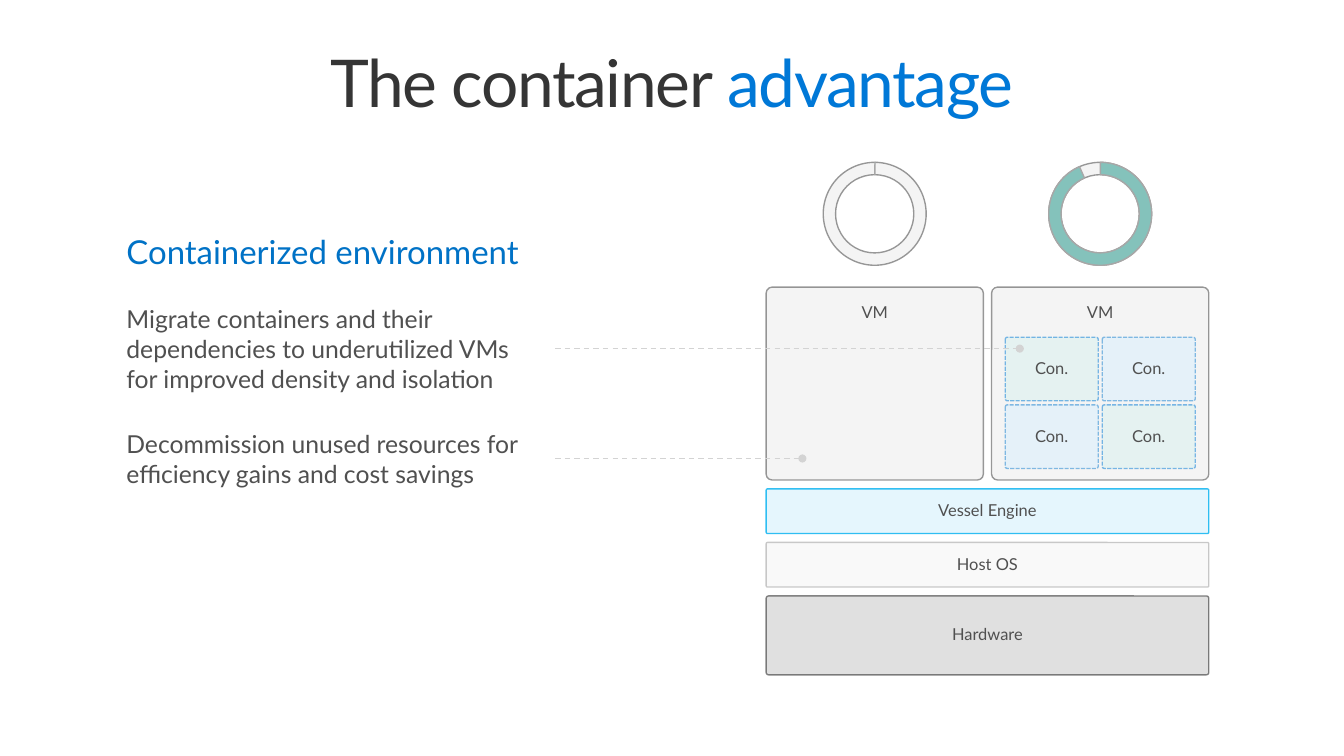
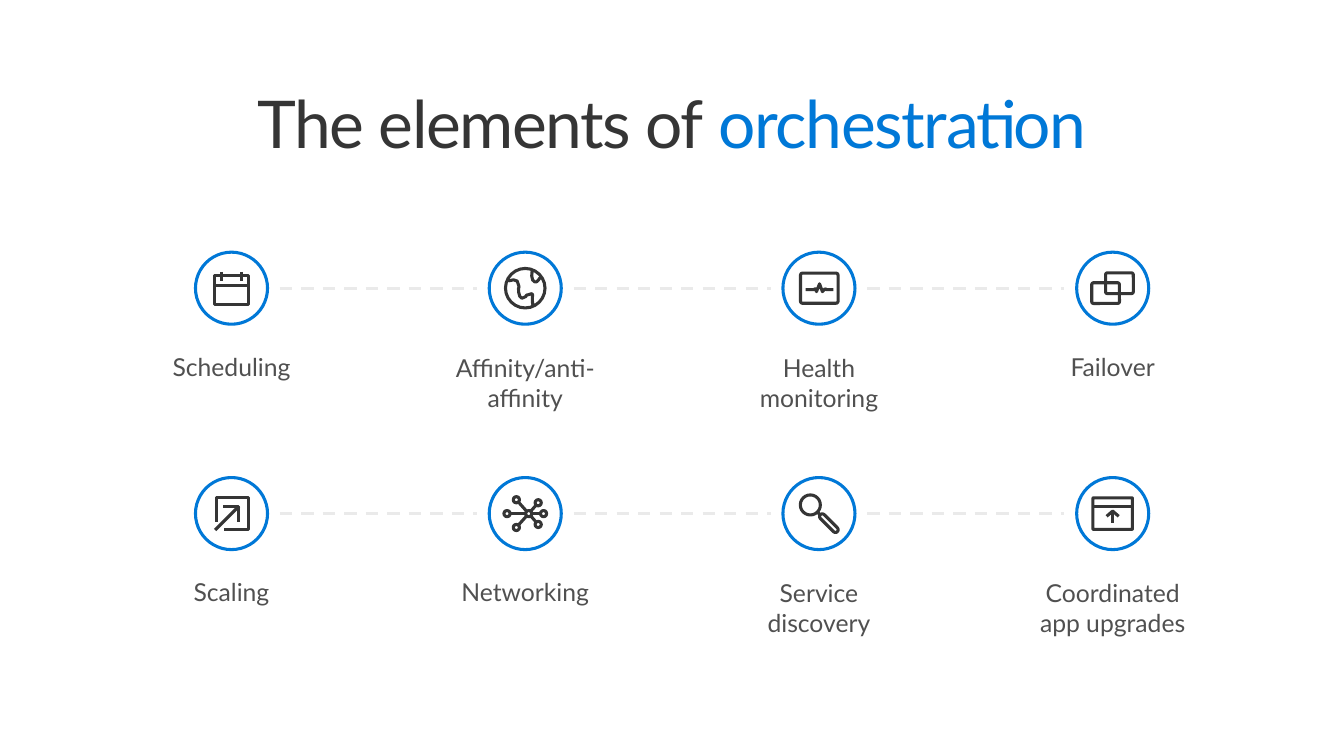
import math
from dataclasses import dataclass
from typing import Any

from lxml import etree
from pptx import Presentation
from pptx.dml.color import RGBColor
from pptx.enum import dml, shapes as kinds, text
from pptx.oxml.ns import qn
from pptx.util import Pt

FONT = "Lato"
INK = RGBColor(0x35, 0x35, 0x35)
BODY = RGBColor(0x50, 0x50, 0x50)
ACCENT = RGBColor(0x00, 0x78, 0xD7)
HEADING = RGBColor(0x00, 0x72, 0xC6)
WHITE = RGBColor(0xFF, 0xFF, 0xFF)
CYAN = RGBColor(0x00, 0xB0, 0xF0)
GRAY = RGBColor(0x96, 0x96, 0x96)
TEAL = RGBColor(0x84, 0xC2, 0xBB)
ARC_EDGE = RGBColor(0xA7, 0xA7, 0xA7)
PALE_GREEN = RGBColor(0xE5, 0xF2, 0xF1)
PALE_BLUE = RGBColor(0xE5, 0xF1, 0xF9)
SKY = RGBColor(0x7F, 0xB8, 0xE2)
CALLOUT = RGBColor(0xD3, 0xD3, 0xD3)
LINK = RGBColor(0xEA, 0xEA, 0xEA)

SLIDE_WIDTH, SLIDE_HEIGHT = 979.2, 550.8
SHAPE = kinds.MSO_SHAPE
DASH = dml.MSO_LINE.DASH
SHORT_DASH = dml.MSO_LINE.SQUARE_DOT
TOP, MIDDLE = text.MSO_ANCHOR.TOP, text.MSO_ANCHOR.MIDDLE
LEFT, CENTER = text.PP_ALIGN.LEFT, text.PP_ALIGN.CENTER
BOX_CORNER = 0.031
ICON_LINE = 2.25


def set_opacity(shape, place, percent):
    """Make the solid colour at the given place below spPr see-through."""
    if percent < 100:
        color = shape._element.spPr.xpath(place + "a:solidFill/a:srgbClr")[0]
        etree.SubElement(color, qn("a:alpha")).set("val", str(percent * 1000))


def add_figure(shapes, kind, box, fill, line, width=1, adjust=(), dash=None,
               fill_opacity=100, line_opacity=100):
    shape = shapes.add_shape(kind, *map(Pt, box))
    shape.shadow.inherit = False
    for index, value in enumerate(adjust):
        shape.adjustments[index] = value
    if fill is None:
        shape.fill.background()
    else:
        shape.fill.solid()
        shape.fill.fore_color.rgb = fill
        set_opacity(shape, "", fill_opacity)
    shape.line.color.rgb = line
    shape.line.width = Pt(width)
    if dash:
        shape.line.dash_style = dash
    set_opacity(shape, "a:ln/", line_opacity)
    return shape


def add_line(shapes, start, end, color, width, dash=None, dot=False):
    """Draw a straight line, with a round dot at its end if asked."""
    connector = shapes.add_connector(
        kinds.MSO_CONNECTOR.STRAIGHT, *map(Pt, (*start, *end)))
    connector.line.color.rgb = color
    connector.line.width = Pt(width)
    if dash:
        connector.line.dash_style = dash
    properties = connector._element.spPr
    if dot:
        tail = etree.SubElement(properties.find(qn("a:ln")), qn("a:tailEnd"))
        tail.set("type", "oval")
    etree.SubElement(properties, qn("a:effectLst"))


def prepare_frame(shape, inset_x, inset_y, anchor=TOP):
    frame = shape.text_frame
    frame.word_wrap = True
    frame.margin_left = frame.margin_right = Pt(inset_x)
    frame.margin_top = frame.margin_bottom = Pt(inset_y)
    frame.vertical_anchor = anchor
    return frame


def style_paragraph(paragraph, size, align, color=None, spacing=None):
    paragraph.alignment = align
    paragraph.font.name = FONT
    paragraph.font.size = Pt(size)
    if color is not None:
        paragraph.font.color.rgb = color
    if spacing:
        paragraph.line_spacing = spacing


def add_title(slide, top, plain, highlight):
    box = slide.shapes.add_textbox(Pt(21.6), Pt(top), Pt(936), Pt(72))
    paragraph = prepare_frame(box, 11.5, 7.2).paragraphs[0]
    style_paragraph(paragraph, 48, CENTER, spacing=0.9)
    for words, color in ((plain, INK), (highlight, ACCENT)):
        run = paragraph.add_run()
        run.text = words
        run.font.color.rgb = color
        run._r.get_or_add_rPr().set("spc", "-100")


def add_text(slide, box, words, size=18, color=BODY, align=LEFT, anchor=TOP):
    shape = slide.shapes.add_textbox(*map(Pt, box))
    frame = prepare_frame(shape, 11.5, 11.5, anchor)
    frame.auto_size = text.MSO_AUTO_SIZE.SHAPE_TO_FIT_TEXT
    frame.text = words
    style_paragraph(frame.paragraphs[0], size, align, color)


def add_block(slide, box, label, fill, line, anchor=MIDDLE, **look):
    shape = add_figure(slide.shapes, SHAPE.ROUNDED_RECTANGLE, box, fill, line,
                       adjust=(BOX_CORNER,), **look)
    frame = prepare_frame(shape, 14.4, 11.5, anchor)
    frame.text = label
    style_paragraph(frame.paragraphs[0], 12, CENTER, BODY, 0.9)


def add_gauge(slide, center, sweep):
    """Draw a ring filled clockwise from the top by sweep degrees."""
    diameter, start = 75, 270.28
    box = (center - diameter / 2, 118.3, diameter, diameter)
    add_figure(slide.shapes, SHAPE.DONUT, box, INK, INK, adjust=(0.12,),
               fill_opacity=5, line_opacity=50)
    arc = (start * 0.6, (start + sweep) % 360 * 0.6, 0.12)
    add_figure(slide.shapes, SHAPE.BLOCK_ARC, box, TEAL, ARC_EDGE, adjust=arc)


def add_containers(slide, left, top):
    width, height, gap = 67.7, 46.3, 3
    for row in range(2):
        for column in range(2):
            box = (left + column * (width + gap), top + row * (height + gap),
                   width, height)
            if row == column:
                fill, line, opacity = PALE_GREEN, ACCENT, 50
            else:
                fill, line, opacity = PALE_BLUE, SKY, 100
            add_block(slide, box, "Con.", fill, line, dash=SHORT_DASH,
                      line_opacity=opacity)


def add_stack(slide):
    left, top, width, gap = 558.2, 209.2, 322.5, 6.5
    vm_width, vm_height = (width - 6) / 2, 140.5
    for index, sweep in enumerate((0.07, 336.07)):
        vm_left = left + index * (vm_width + 6)
        add_block(slide, (vm_left, top, vm_width, vm_height), "VM", INK, INK,
                  TOP, fill_opacity=5, line_opacity=50)
        add_gauge(slide, vm_left + vm_width / 2, sweep)
    add_containers(slide, vm_left + 10, top + 36.5)
    top += vm_height + gap
    layers = (("Vessel Engine", 32.5, CYAN, 10, 80),
              ("Host OS", 32.5, GRAY, 5, 50),
              ("Hardware", 57.5, INK, 15, 60))
    for label, height, color, fill_opacity, line_opacity in layers:
        add_block(slide, (left, top, width, height), label, color, color,
                  fill_opacity=fill_opacity, line_opacity=line_opacity)
        top += height + gap


def build_advantage(slide):
    add_title(slide, 29.5, "The container ", "advantage")
    add_stack(slide)
    left = 80.6
    add_text(slide, (left, 157, 422, 53.3), "Containerized environment", 24,
             HEADING)
    benefits = (
        ("Migrate containers and their dependencies to underutilized VMs "
         "for improved density and isolation", 209, 314, 90, 743),
        ("Decommission unused resources for efficiency gains and cost "
         "savings", 300.2, 344, 67.7, 584.6))
    for words, top, width, height, target in benefits:
        add_text(slide, (left, top, width, height), words, anchor=MIDDLE)
        middle = top + height / 2
        add_line(slide.shapes, (404.6, middle), (target, middle), CALLOUT, 1,
                 DASH, dot=True)


@dataclass
class Pen:
    """Draws icon strokes at offsets from the centre of a disc."""
    shapes: Any
    x: float
    y: float

    def figure(self, kind, left, top, width, height, *adjust):
        box = (self.x + left, self.y + top, width, height)
        return add_figure(self.shapes, kind, box, None, INK, ICON_LINE, adjust)

    def circle(self, x, y, diameter):
        self.figure(SHAPE.OVAL, x - diameter / 2, y - diameter / 2,
                    diameter, diameter)

    def line(self, x1, y1, x2, y2):
        add_line(self.shapes, (self.x + x1, self.y + y1),
                 (self.x + x2, self.y + y2), INK, ICON_LINE)

    def outline(self, *points):
        start, *rest = [(Pt(self.x + x), Pt(self.y + y)) for x, y in points]
        builder = self.shapes.build_freeform(*start)
        builder.add_line_segments(rest, close=False)
        shape = builder.convert_to_shape()
        shape.shadow.inherit = False
        shape.fill.background()
        shape.line.color.rgb = INK
        shape.line.width = Pt(ICON_LINE)


def draw_calendar(pen):
    pen.figure(SHAPE.RECTANGLE, -12.3, -9, 24.5, 21)
    for x in (-7.2, 7.2):
        pen.line(x, -12, x, -5.4)
    pen.line(-12.3, -1.8, 12.2, -1.8)


def draw_globe(pen):
    pen.circle(0, 0, 28.8)
    pen.outline((-12.6, -6.8), (-11.9, -5.4), (-8.5, -6.1), (-5.8, -5.2),
                (-5.4, -4), (-4.5, -1.1), (-4.9, 0.4), (-4.7, 3.2),
                (-4, 5.8), (-2.5, 7.3), (-1.1, 6.8), (0.4, 6.1), (1, 5),
                (2.5, 4.7), (4.7, 4), (5.4, 4.7), (5.2, 7.6), (5.4, 11.7),
                (6.8, 12.4))
    pen.outline((4.7, -12.6), (5, -11.9), (4.7, -9), (5.4, -6), (6.8, -4.7),
                (8.3, -4.7), (9.7, -6.1), (10.4, -7.2), (11.9, -7.6))


def draw_monitor(pen):
    pen.figure(SHAPE.ROUNDED_RECTANGLE, -13.5, -11, 27.4, 22, 0.07)
    pen.outline((-9.7, 1), (-4, 1), (-2.5, 0.4), (-1.8, 2.5), (0.4, -3.2),
                (2.5, 2.5), (4.5, 0.4), (5.4, 1), (10.4, 1))


def draw_failover(pen):
    for left, top in ((-5.2, -11.2), (-15.3, -4)):
        pen.figure(SHAPE.ROUNDED_RECTANGLE, left, top, 20.2, 15.1, 0.087)


def draw_scaling(pen):
    pen.outline((5.4, 6), (5.4, -5.4), (-6, -5.4))
    pen.outline((-5.4, 11.4), (12.6, 11.4), (12.6, -12), (-11.2, -12),
                (-11.2, 6))
    pen.line(5.4, -5.4, -12, 12)


def draw_network(pen):
    hub_x, hub_y, diameter = 2.5, 0, 4.5
    pen.circle(hub_x, hub_y, diameter)
    for x, y in ((13.3, 0), (-13.3, 0), (9.4, 7.9), (9.4, -7.9),
                 (-6.5, 10.1), (-6.5, -10.1)):
        pen.circle(x, y, diameter)
        share = diameter / 2 / math.hypot(x - hub_x, y - hub_y)
        trim_x, trim_y = share * (x - hub_x), share * (y - hub_y)
        pen.line(hub_x + trim_x, hub_y + trim_y, x - trim_x, y - trim_y)


def draw_magnifier(pen):
    pen.circle(-6.3, -6.3, 14.6)
    pen.line(-1.1, -1.1, 1.1, 1.1)
    handle = pen.figure(SHAPE.ROUNDED_RECTANGLE, -1.6, 5, 17.6, 4, 0.5)
    handle.rotation = 45


def draw_upgrade(pen):
    pen.figure(SHAPE.ROUNDED_RECTANGLE, -14.4, -11.5, 28.8, 23, 0.02)
    pen.line(-14.4, -5.4, 14.4, -5.4)
    pen.line(0, 6.8, 0, -1.8)
    pen.outline((-4.4, 2), (0, -1.8), (4.4, 2))


def build_orchestration(slide):
    add_title(slide, 59.4, "The elements of ", "orchestration")
    first, pitch, clearance, diameter = 168.7, 214, 35.2, 52.5
    rows = (
        (210, (("Scheduling", 130, 45.4, draw_calendar),
               ("Affinity/anti-affinity", 162, 67.7, draw_globe),
               ("Health monitoring", 130, 67.7, draw_monitor),
               ("Failover", 130, 45.4, draw_failover))),
        (374.2, (("Scaling", 130, 45.4, draw_scaling),
                 ("Networking", 162, 45.4, draw_network),
                 ("Service discovery", 130, 67.7, draw_magnifier),
                 ("Coordinated app upgrades", 145, 67.7, draw_upgrade))))
    for y, elements in rows:
        for index, (label, width, height, draw_icon) in enumerate(elements):
            x = first + index * pitch
            add_text(slide, (x - width / 2, y + 35.5, width, height), label,
                     align=CENTER)
            if index < len(elements) - 1:
                add_line(slide.shapes, (x + clearance, y),
                         (x + pitch - clearance, y), LINK, 2.25, DASH)
            icon = slide.shapes.add_group_shape().shapes
            disc = (x - diameter / 2, y - diameter / 2, diameter, diameter)
            add_figure(icon, SHAPE.OVAL, disc, WHITE, ACCENT, ICON_LINE)
            draw_icon(Pen(icon, x, y))


def main():
    presentation = Presentation()
    presentation.slide_width = Pt(SLIDE_WIDTH)
    presentation.slide_height = Pt(SLIDE_HEIGHT)
    blank = presentation.slide_layouts[6]
    for build in (build_advantage, build_orchestration):
        build(presentation.slides.add_slide(blank))
    presentation.save("out.pptx")


if __name__ == "__main__":
    main()
